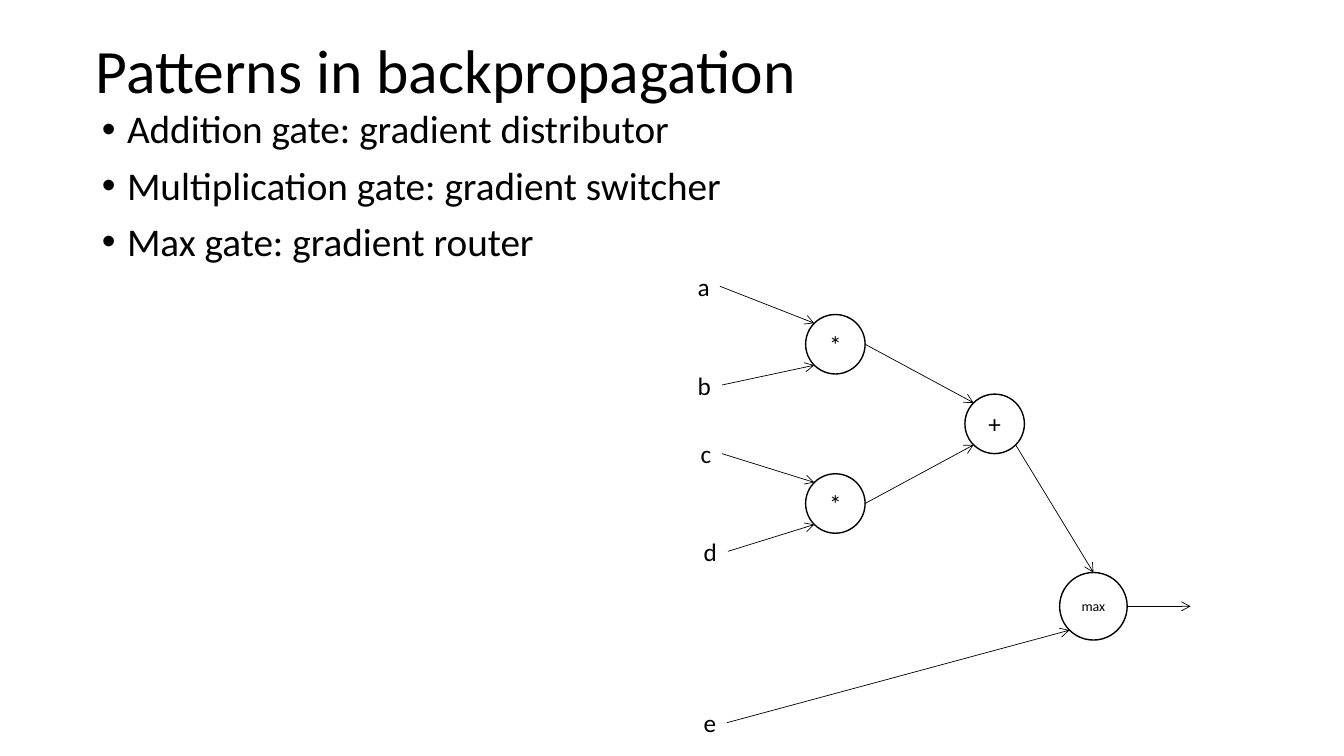
from math import cos, radians, sin

from lxml.etree import SubElement
from pptx import Presentation
from pptx.dml.color import RGBColor
from pptx.enum.shapes import MSO_CONNECTOR, MSO_SHAPE
from pptx.enum.text import MSO_ANCHOR, MSO_AUTO_SIZE, PP_ALIGN
from pptx.oxml.ns import qn
from pptx.util import Inches, Pt

BLACK = RGBColor(0x00, 0x00, 0x00)
WHITE = RGBColor(0xFF, 0xFF, 0xFF)
FONT = "Calibri"


def write(p, text, size=18, align=PP_ALIGN.LEFT, line_spacing=1.0, space_before=0):
    p.alignment = align
    p.line_spacing = line_spacing
    p.space_before = Pt(space_before)
    r = p.add_run()
    r.text = text
    r.font.name = FONT
    r.font.size = Pt(size)
    r.font.color.rgb = BLACK


class GraphSlide:
    def __init__(self, prs):
        self.s = prs.slides.add_slide(prs.slide_layouts[1])

    def placeholder(self, sp, left, top, width, height, anchor):
        sp.left, sp.top = Inches(left), Inches(top)
        sp.width, sp.height = Inches(width), Inches(height)
        tf = sp.text_frame
        tf.word_wrap = True
        tf.auto_size = MSO_AUTO_SIZE.NONE
        tf.vertical_anchor = anchor
        return tf

    def title(self, text):
        tf = self.placeholder(self.s.shapes.title, 0.85, 0, 11.5, 1.45, MSO_ANCHOR.MIDDLE)
        write(tf.paragraphs[0], text, size=44, line_spacing=0.9)

    def bullets(self, items):
        tf = self.placeholder(self.s.placeholders[1], 0.91, 1.04, 11.5, 4.76, MSO_ANCHOR.TOP)
        for i, item in enumerate(items):
            p = tf.add_paragraph() if i else tf.paragraphs[0]
            pPr = p._p.get_or_add_pPr()
            pPr.set("marL", str(Inches(0.25)))
            pPr.set("indent", str(Inches(-0.25)))
            SubElement(pPr, qn("a:buFont")).set("typeface", "Arial")
            SubElement(pPr, qn("a:buChar")).set("char", "•")
            write(p, item, size=28, line_spacing=0.9, space_before=10 if i else 0)

    def gate(self, text, left, top, diameter=0.59, size=18):
        sp = self.s.shapes.add_shape(
            MSO_SHAPE.OVAL, Inches(left), Inches(top), Inches(diameter), Inches(diameter))
        sp.shadow.inherit = False
        sp.fill.solid()
        sp.fill.fore_color.rgb = WHITE
        sp.line.color.rgb = BLACK
        sp.line.width = Pt(1)
        tf = sp.text_frame
        tf.word_wrap = False
        tf.vertical_anchor = MSO_ANCHOR.MIDDLE
        write(tf.paragraphs[0], text, size=size, align=PP_ALIGN.CENTER)
        radius = diameter / 2

        def port(angle):
            a = radians(angle)
            return left + radius * (1 + cos(a)), top + radius * (1 + sin(a))
        return port

    def label(self, text, left, top, width, height=0.4):
        sp = self.s.shapes.add_textbox(Inches(left), Inches(top), Inches(width), Inches(height))
        tf = sp.text_frame
        tf.word_wrap = False
        tf.auto_size = MSO_AUTO_SIZE.SHAPE_TO_FIT_TEXT
        write(tf.paragraphs[0], text)
        return left + width, top + height / 2

    def arrow(self, start, end):
        c = self.s.shapes.add_connector(
            MSO_CONNECTOR.STRAIGHT, *(Inches(v) for v in (*start, *end)))
        c.line.color.rgb = BLACK
        c.line.width = Pt(0.5)
        SubElement(c.line._get_or_add_ln(), qn("a:tailEnd")).set("type", "arrow")
        SubElement(c._element.spPr, qn("a:effectLst"))


def main():
    prs = Presentation()
    prs.slide_width, prs.slide_height = Inches(13.33), Inches(7.5)
    g = GraphSlide(prs)
    g.title("Patterns in backpropagation")
    g.bullets([
        "Addition gate: gradient distributor",
        "Multiplication gate: gradient switcher",
        "Max gate: gradient router",
    ])

    mul_ab = g.gate("*", 7.99, 3.12)
    mul_cd = g.gate("*", 7.99, 4.7)
    add = g.gate("+", 9.57, 3.91)
    max_gate = g.gate("max", 10.51, 5.68, diameter=0.67, size=10)

    right, lower_right, lower_left, upper_left, top = 0, 45, 135, 225, 270
    inputs = [
        ("a", 6.82, 2.64, 0.32, mul_ab(upper_left)),
        ("b", 6.82, 3.62, 0.34, mul_ab(lower_left)),
        ("c", 6.85, 4.3, 0.31, mul_cd(upper_left)),
        ("d", 6.88, 5.27, 0.34, mul_cd(lower_left)),
        ("e", 6.88, 6.97, 0.33, max_gate(lower_left)),
    ]
    for text, x, y, width, target in inputs:
        g.arrow(g.label(text, x, y, width), target)

    g.arrow(mul_ab(right), add(upper_left))
    g.arrow(mul_cd(right), add(lower_left))
    g.arrow(add(lower_right), max_gate(top))
    x, y = max_gate(right)
    g.arrow((x, y), (x + 0.63, y))
    prs.save("out.pptx")


if __name__ == "__main__":
    main()
